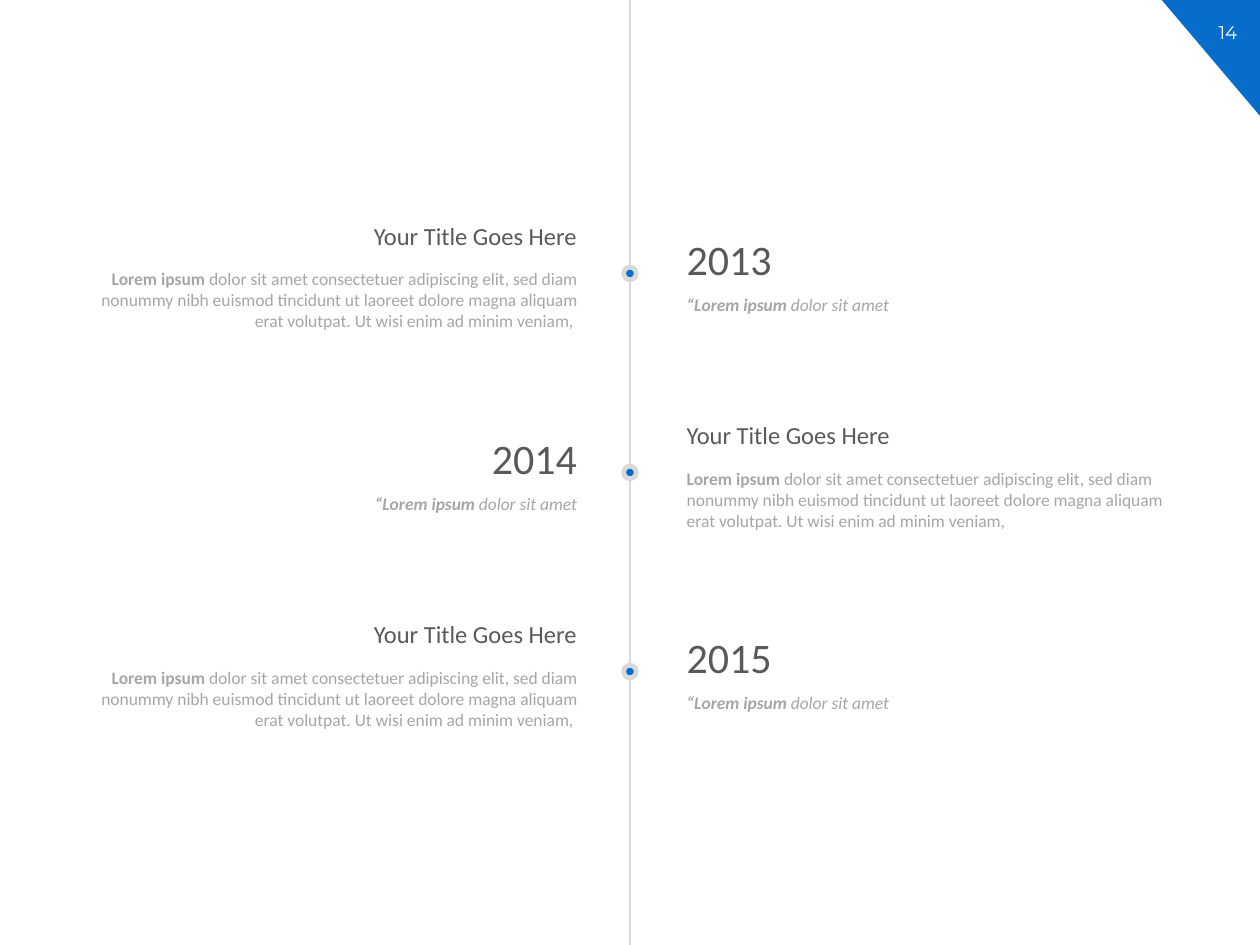
import pptx
import pptx.dml.color
import pptx.enum.shapes
import pptx.enum.text
import pptx.util
from lxml import etree

Inches = pptx.util.Inches
Pt = pptx.util.Pt
SHAPES = pptx.enum.shapes.MSO_SHAPE
ALIGN = pptx.enum.text.PP_ALIGN

WIDTH, HEIGHT = 10, 7.5
AXIS = WIDTH / 2
LEFT_COLUMN_END, RIGHT_COLUMN_START = 4.65, 5.38
FIRST_ROW, ROW_STEP = 2.12, 1.58
DOT = 0.1
BLUE, RULE, DARK, GREY, WHITE = "066DCA", "D9D9D9", "595959", "A6A6A6", "FFFFFF"

TEXT_INSETS = {"margin_left": Inches(0.07), "margin_right": Inches(0.07),
               "margin_top": Inches(0.04), "margin_bottom": Inches(0.04)}
NUMBER_INSETS = {"margin_left": Inches(0.1), "margin_right": Inches(0.1),
                 "margin_top": Inches(0.05), "margin_bottom": Inches(0.05)}
TITLE = {"name": "Calibri", "size": Pt(14)}
YEAR = {"name": "Calibri", "size": Pt(24)}
BODY = {"name": "Calibri", "size": Pt(10), "bold": False}
LEAD = {**BODY, "bold": True}
QUOTE = {**BODY, "italic": True}
QUOTE_LEAD = {**LEAD, "italic": True}
NUMBER = {"name": "Montserrat", "size": Pt(10.5)}

STORY = ("dolor sit amet consectetuer adipiscing elit, sed diam nonummy nibh "
         "euismod tincidunt ut laoreet dolore magna aliquam erat volutpat. "
         "Ut wisi enim ad minim veniam,")
MILESTONES = [("2013", "left"), ("2014", "right"), ("2015", "left")]


def set_color(color_format, hex_color):
    """Apply a hex colour to a fill, line or font colour."""
    color_format.rgb = pptx.dml.color.RGBColor.from_string(hex_color)


def apply_format(target, values):
    """Set each attribute of the target from a dict."""
    for attribute, value in values.items():
        setattr(target, attribute, value)


def add_text(slide, box, runs, color, align, insets=TEXT_INSETS):
    """Add a one-paragraph text box made of (text, format) runs."""
    frame = slide.shapes.add_textbox(*map(Inches, box)).text_frame
    apply_format(frame, {**insets, "word_wrap": True,
                         "auto_size": pptx.enum.text.MSO_AUTO_SIZE.SHAPE_TO_FIT_TEXT})
    paragraph = frame.paragraphs[0]
    paragraph.alignment = align
    for text, font_values in runs:
        run = paragraph.add_run()
        run.text = text
        apply_format(run.font, font_values)
        set_color(run.font.color, color)


def add_solid(slide, kind, box, outline=None):
    """Add a blue preset shape with an optional outline (colour, width)."""
    solid = slide.shapes.add_shape(kind, *map(Inches, box))
    solid.shadow.inherit = False
    solid.fill.solid()
    set_color(solid.fill.fore_color, BLUE)
    if outline:
        set_color(solid.line.color, outline[0])
        solid.line.width = Pt(outline[1])
    else:
        solid.line.fill.background()
    return solid


def add_axis(slide):
    """Draw the vertical timeline over the full slide height."""
    axis = slide.shapes.add_connector(
        pptx.enum.shapes.MSO_CONNECTOR.STRAIGHT,
        Inches(AXIS), 0, Inches(AXIS), Inches(HEIGHT))
    set_color(axis.line.color, RULE)
    axis.line.width = Pt(1)
    etree.SubElement(axis._element.spPr, pptx.oxml.ns.qn("a:effectLst"))


def add_page_corner(slide):
    """Draw the corner triangle with the page number."""
    corner = add_solid(slide, SHAPES.RIGHT_TRIANGLE, (WIDTH - 0.78, 0, 0.78, 0.92))
    corner.rotation = 180
    add_text(slide, (WIDTH - 0.51, 0.12, 0.51, 0.28), [("14", NUMBER)],
             WHITE, ALIGN.CENTER, NUMBER_INSETS)


def add_side_text(slide, side, top, size, runs, color):
    """Add text on one side of the axis, aligned towards it."""
    width, height = size
    on_left = side == "left"
    left = LEFT_COLUMN_END - width if on_left else RIGHT_COLUMN_START
    add_text(slide, (left, top, width, height), runs, color,
             ALIGN.RIGHT if on_left else ALIGN.LEFT)


def add_milestone(slide, row, year, story_side):
    """Add a dot with its story on one side and its year on the other."""
    top = FIRST_ROW + row * ROW_STEP
    year_side = "right" if story_side == "left" else "left"
    story = STORY + " " if story_side == "left" else STORY
    add_solid(slide, SHAPES.OVAL, (AXIS - DOT / 2, top, DOT, DOT), (RULE, 2.75))
    add_side_text(slide, story_side, top - 0.03, (4.02, 0.58),
                  [("Lorem ipsum ", LEAD), (story, BODY)], GREY)
    add_side_text(slide, story_side, top - 0.41, (3.16, 0.31),
                  [("Your Title Goes Here", TITLE)], DARK)
    add_side_text(slide, year_side, top - 0.31, (1.23, 0.48), [(year, YEAR)], DARK)
    add_side_text(slide, year_side, top + 0.17, (2.47, 0.24),
                  [("“Lorem ipsum ", QUOTE_LEAD), ("dolor sit amet", QUOTE)], GREY)


def main():
    """Build the timeline slide and save it."""
    deck = pptx.Presentation()
    apply_format(deck, {"slide_width": Inches(WIDTH), "slide_height": Inches(HEIGHT)})
    slide = deck.slides.add_slide(deck.slide_layouts[6])
    add_page_corner(slide)
    add_axis(slide)
    for row, (year, story_side) in enumerate(MILESTONES):
        add_milestone(slide, row, year, story_side)
    deck.save("out.pptx")


if __name__ == "__main__":
    main()
